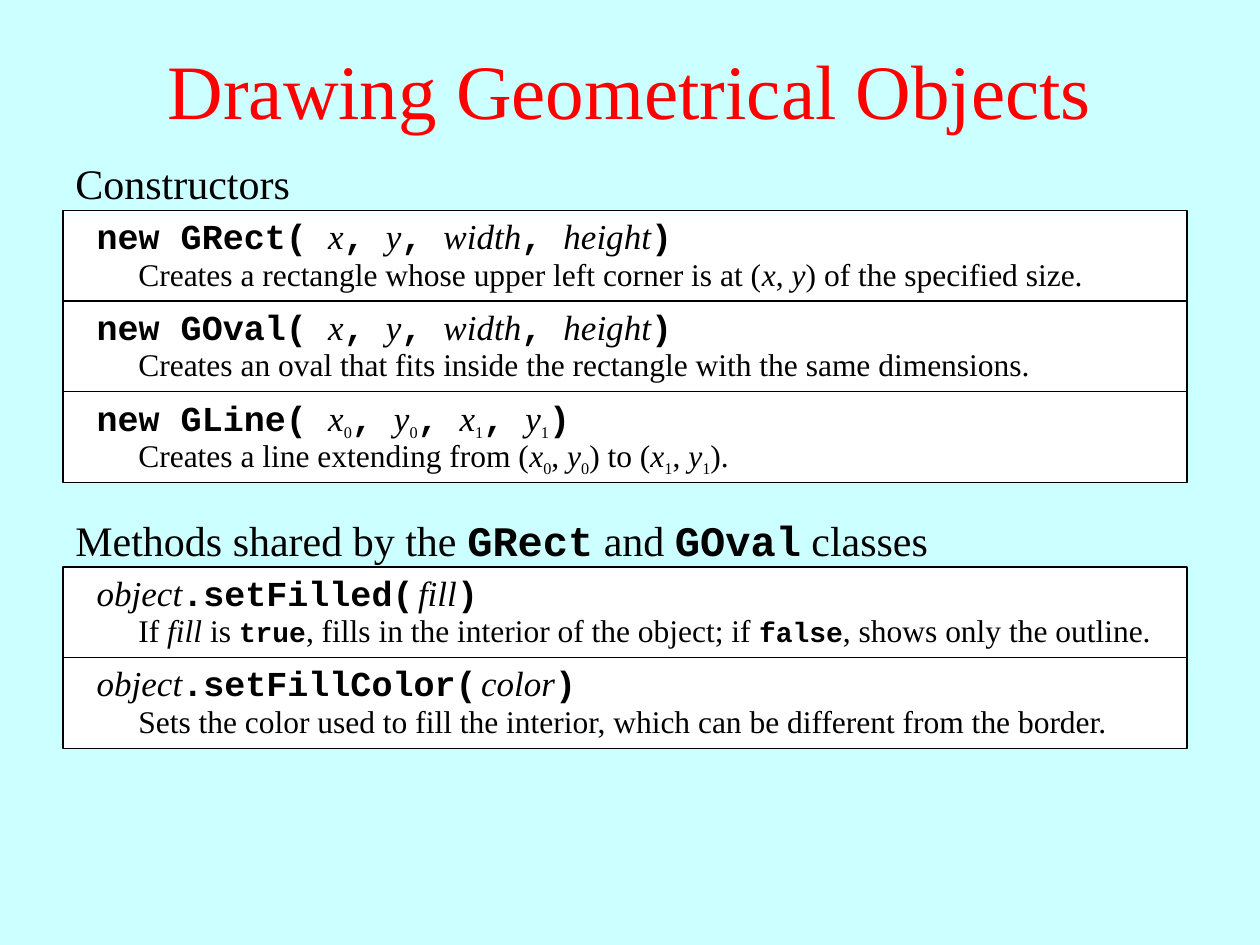
import pptx
import pptx.util
import pptx.dml.color
import pptx.enum.shapes
import pptx.enum.text
from dataclasses import dataclass
from pptx.util import Cm


@dataclass(frozen=True)
class Theme:
    background: str = "CCFFFF"
    title: str = "FF0000"
    ink: str = "000000"
    panel: str = "FFFFFF"
    serif: str = "Times New Roman"
    mono: str = "Courier New"
    title_size: int = 44
    heading_size: int = 24
    signature_size: int = 20
    description_size: int = 18
    small_size: int = 16
    gap_size: int = 4
    border: float = 0.75


THEME = Theme()

# Layout in centimetres
LEFT = 1.27
ENTRY_WIDTH, ENTRY_HEIGHT = 22.66, 1.83

# Run styles
TEXT, CODE, VAR, SUB, GAP, WORD = "text", "code", "var", "sub", "gap", "word"
COMMA = (", ", CODE)
CLOSE = (")", CODE)
BOX_ARGUMENTS = [("x", VAR), COMMA, ("y", VAR), COMMA,
                 ("width", VAR), COMMA, ("height", VAR), CLOSE]


def point(index, separator):
    """Runs for a subscripted coordinate pair."""
    return [("x", VAR), (index, SUB), separator, ("y", VAR), (index, SUB)]


def setter(method, argument):
    return [("object", VAR), (f".{method}(", CODE), (" ", GAP), (argument, VAR), CLOSE]


# Each entry is a signature and its description
CONSTRUCTORS = [
    ([("new GRect( ", CODE), *BOX_ARGUMENTS],
     [("Creates a rectangle whose upper left corner is at (", TEXT), ("x", VAR),
      (", ", TEXT), ("y", VAR), (") of the specified size.", TEXT)]),
    ([("new GOval( ", CODE), *BOX_ARGUMENTS],
     [("Creates an oval that fits inside the rectangle with the same dimensions.", TEXT)]),
    ([("new GLine( ", CODE), *point("0", COMMA), COMMA, *point("1", COMMA), CLOSE],
     [("Creates a line extending from (", TEXT), *point("0", (", ", TEXT)),
      (") to (", TEXT), *point("1", (", ", TEXT)), (").", TEXT)]),
]
METHODS = [
    (setter("setFilled", "fill"),
     [("If ", TEXT), ("fill", VAR), (" is ", TEXT), ("true", WORD),
      (", fills in the interior of the object; if ", TEXT), ("false", WORD),
      (", shows only the outline.", TEXT)]),
    (setter("setFillColor", "color"),
     [("Sets the color used to fill the interior, which can be different "
       "from the border.", TEXT)]),
]


def rgb(value):
    return pptx.dml.color.RGBColor.from_string(value)


def add_runs(paragraph, runs, size, color=THEME.ink):
    sizes = {SUB: THEME.small_size, WORD: THEME.small_size, GAP: THEME.gap_size}
    for text, style in runs:
        run = paragraph.add_run()
        run.text = text
        mono = style in (CODE, GAP, WORD)
        run.font.name = THEME.mono if mono else THEME.serif
        run.font.size = pptx.util.Pt(sizes.get(style, size))
        run.font.bold = mono
        run.font.italic = style == VAR
        run.font.color.rgb = rgb(color)
        if style == SUB:
            run.font._element.set("baseline", "-25000")


def add_line(slide, left, top, width, height, runs, size):
    box = slide.shapes.add_textbox(Cm(left), Cm(top), Cm(width), Cm(height))
    frame = box.text_frame
    frame.word_wrap = True
    frame.auto_size = pptx.enum.text.MSO_AUTO_SIZE.SHAPE_TO_FIT_TEXT
    add_runs(frame.paragraphs[0], runs, size)
    return frame.paragraphs[0]


def add_entry(slide, top, signature, description):
    panel = slide.shapes.add_shape(
        pptx.enum.shapes.MSO_SHAPE.RECTANGLE,
        Cm(LEFT), Cm(top), Cm(ENTRY_WIDTH), Cm(ENTRY_HEIGHT))
    panel.shadow.inherit = False
    panel.fill.solid()
    panel.fill.fore_color.rgb = rgb(THEME.panel)
    panel.line.color.rgb = rgb(THEME.ink)
    panel.line.width = pptx.util.Pt(THEME.border)
    add_line(slide, LEFT + 0.43, top - 0.04, 21.8, 1.11, signature, THEME.signature_size)
    add_line(slide, LEFT + 1.27, top + 0.77, 21.17, 1.02, description,
             THEME.description_size)


def add_section(slide, top, heading, entries):
    line = add_line(slide, LEFT, top - 1.07, 22.86, 1.17, heading, THEME.heading_size)
    line.alignment = pptx.enum.text.PP_ALIGN.JUSTIFY
    line.line_spacing = 0.9
    for row, (signature, description) in enumerate(entries):
        add_entry(slide, top + row * ENTRY_HEIGHT, signature, description)


def set_title(slide, text):
    title = slide.shapes.title
    title.left, title.top, title.width, title.height = Cm(0), Cm(0.2), Cm(25.4), Cm(3.18)
    title.text_frame.vertical_anchor = pptx.enum.text.MSO_ANCHOR.MIDDLE
    paragraph = title.text_frame.paragraphs[0]
    paragraph.alignment = pptx.enum.text.PP_ALIGN.CENTER
    add_runs(paragraph, [(text, TEXT)], THEME.title_size, THEME.title)


def main():
    deck = pptx.Presentation()
    deck.slide_width, deck.slide_height = Cm(25.4), Cm(19.05)
    slide = deck.slides.add_slide(deck.slide_layouts[5])
    slide.background.fill.solid()
    slide.background.fill.fore_color.rgb = rgb(THEME.background)

    set_title(slide, "Drawing Geometrical Objects")
    add_section(slide, 4.24, [("Constructors", TEXT)], CONSTRUCTORS)
    add_section(slide, 11.43,
                [("Methods shared by the ", TEXT), ("GRect", CODE), (" and ", TEXT),
                 ("GOval", CODE), (" classes", TEXT)], METHODS)
    deck.save("out.pptx")


if __name__ == "__main__":
    main()
